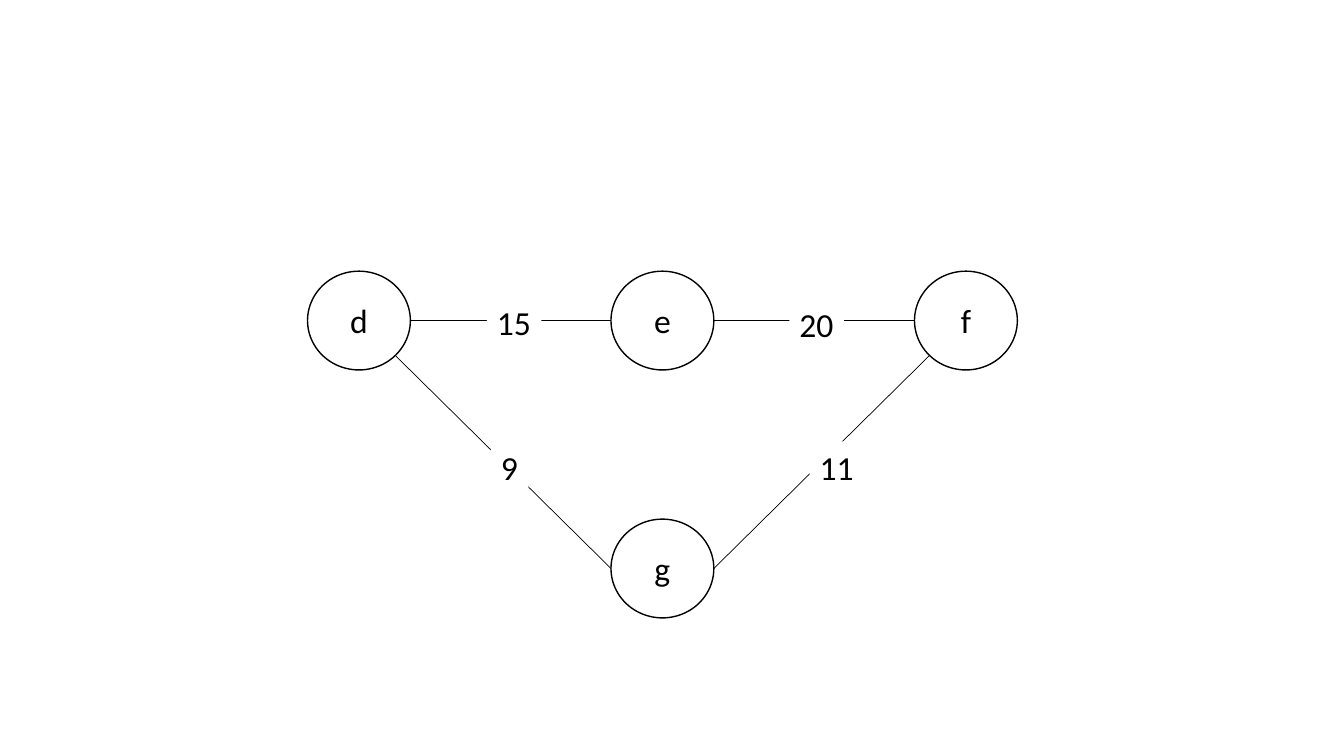
import math

from pptx import Presentation
from pptx.dml.color import RGBColor
from pptx.enum import shapes, text
from pptx.oxml import ns, xmlchemy
from pptx.util import Inches, Pt

BLACK = RGBColor(0, 0, 0)
WHITE = RGBColor(255, 255, 255)
FONT = "Calibri"
NODE_W, NODE_H = 1.02, 0.98
LABEL_H = 0.5

# Node centres
NODES = {"d": (3.56, 3.18), "e": (6.57, 3.18), "f": (9.58, 3.18), "g": (6.57, 5.64)}

# Start node and angle, end node and angle (degrees, clockwise from the right)
EDGES = [
    ("g", 0, "f", 135),
    ("g", 180, "d", 45),
    ("e", 180, "d", 0),
    ("e", 0, "f", 180),
]

# Weight, left, top, width
WEIGHTS = [
    ("15", 4.83, 2.95, 0.54),
    ("20", 7.83, 2.97, 0.54),
    ("11", 8.03, 4.38, 0.54),
    ("9", 4.87, 4.38, 0.37),
]


def write_label(tf, label):
    tf.text = label
    font = tf.paragraphs[0].runs[0].font
    font.name, font.size = FONT, Pt(24)
    font.color.rgb = BLACK


def add_node(slide, name):
    x, y = NODES[name]
    sp = slide.shapes.add_shape(
        shapes.MSO_SHAPE.FLOWCHART_CONNECTOR,
        Inches(x - NODE_W / 2), Inches(y - NODE_H / 2), Inches(NODE_W), Inches(NODE_H))
    sp.shadow.inherit = False
    sp.fill.background()
    sp.line.color.rgb = BLACK
    sp.line.width = Pt(1)
    tf = sp.text_frame
    tf.vertical_anchor = text.MSO_ANCHOR.MIDDLE
    write_label(tf, name)
    tf.paragraphs[0].alignment = text.PP_ALIGN.CENTER


def rim_point(name, angle):
    x, y = NODES[name]
    a = math.radians(angle)
    return Inches(x + NODE_W / 2 * math.cos(a)), Inches(y + NODE_H / 2 * math.sin(a))


def add_edge(slide, start, start_angle, end, end_angle):
    line = slide.shapes.add_connector(
        shapes.MSO_CONNECTOR.STRAIGHT,
        *rim_point(start, start_angle), *rim_point(end, end_angle))
    line.line.color.rgb = BLACK
    line.line.width = Pt(0.5)
    line._element.spPr.append(xmlchemy.OxmlElement("a:effectLst"))


def add_weight(slide, label, left, top, width):
    box = slide.shapes.add_textbox(Inches(left), Inches(top), Inches(width), Inches(LABEL_H))
    box.fill.solid()
    box.fill.fore_color.rgb = WHITE
    tf = box.text_frame
    tf.word_wrap = False
    tf.auto_size = text.MSO_AUTO_SIZE.SHAPE_TO_FIT_TEXT
    write_label(tf, label)


def main():
    prs = Presentation()
    prs.slide_width, prs.slide_height = Inches(13.33), Inches(7.5)
    slide = prs.slides.add_slide(prs.slide_layouts[6])

    # Graph nodes
    for name in NODES:
        add_node(slide, name)

    # Edges, with the weights covering their middles
    for edge in EDGES:
        add_edge(slide, *edge)
    for weight in WEIGHTS:
        add_weight(slide, *weight)

    prs.save("out.pptx")


if __name__ == "__main__":
    main()
